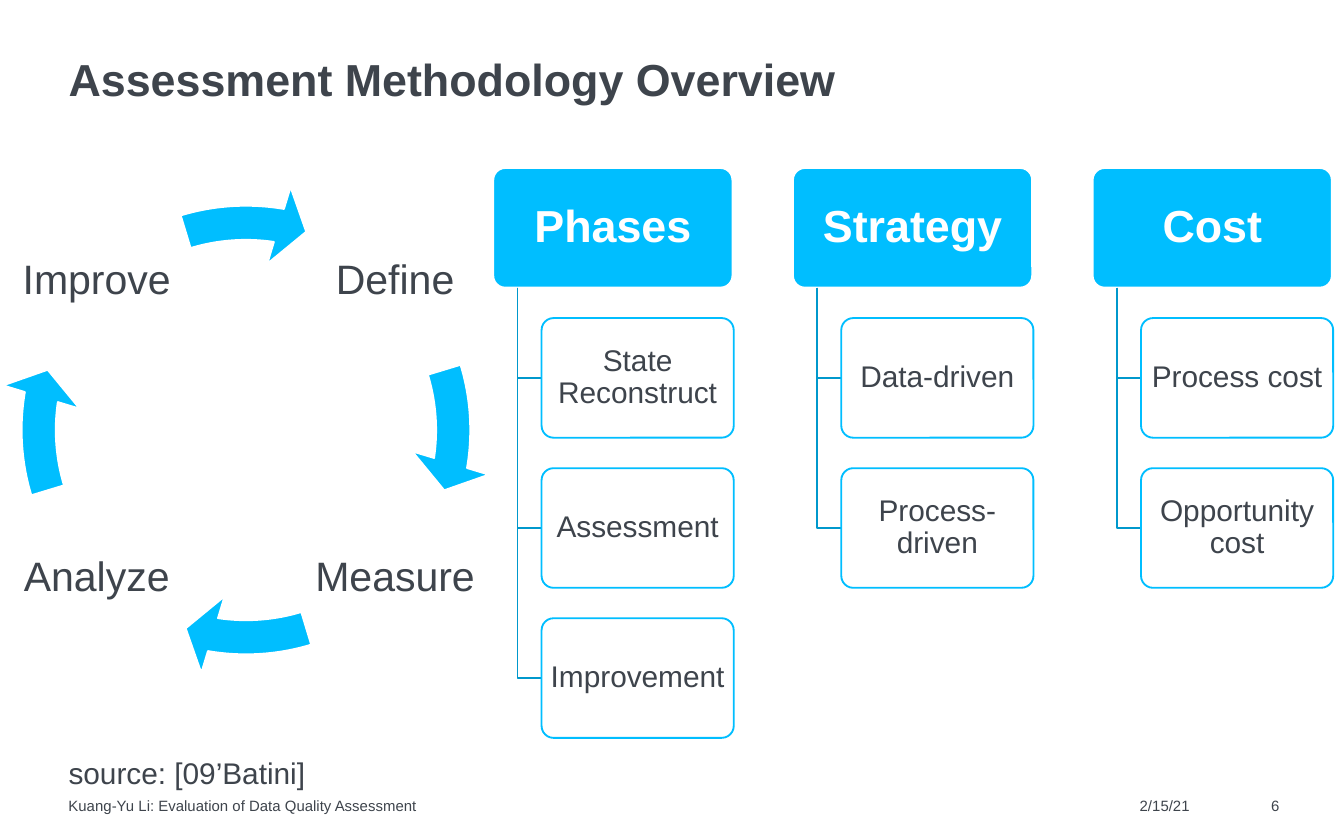
from dataclasses import dataclass
from typing import Optional

from pptx import Presentation, util as u
from pptx.dml.color import RGBColor
from pptx.enum import shapes, text

COLORS = {"ink": "3E444C", "accent": "00BEFF", "branch": "0098CC", "white": "FFFFFF"}
LEFT = 0.51                                # left margin of title and footer

# Hierarchy grid
GRID_X, GRID_Y = 3.67, 1.25
COL, ROW = 2.23, 3.35 / 3                  # pitch of columns and rows
HEAD_W, BOX_W, BOX_H = 1.78, 1.43, 0.89
TRUNK, INDENT = 0.18, 0.36                 # offsets from a column's left edge

# Cycle
CYCLE_X, CYCLE_Y, CYCLE_SIZE = -0.01, 1.36, 3.68
LABEL_X, LABEL_Y, LABEL_SIZE = (0.07, 2.29), (1.44, 3.65), 1.3
QUARTER, FULL = 54, 216                    # turns in adjustment units


@dataclass
class Style:
    size: float
    color: str = "ink"
    bold: bool = False
    align: Optional[text.PP_ALIGN] = None
    anchor: text.MSO_ANCHOR = text.MSO_ANCHOR.TOP
    spacing: Optional[float] = None
    inset_x: float = 0
    inset_y: float = 0
    wrap: bool = True


@dataclass
class Stage:
    name: str
    col: int
    row: int


@dataclass
class Branch:
    head: str
    items: list[str]


@dataclass
class Note:
    words: str
    x: float
    y: float
    w: float
    h: float
    style: Style


CENTERED = dict(align=text.PP_ALIGN.CENTER, anchor=text.MSO_ANCHOR.MIDDLE, spacing=0.9)
TITLE = Style(24, bold=True, align=text.PP_ALIGN.LEFT, spacing=0.9)
LABEL = Style(22, inset_x=0.03, inset_y=0.03, **CENTERED)
HEAD = Style(24, "white", True, inset_x=0.05, inset_y=0.03, **CENTERED)
ITEM = Style(16, inset_x=0.03, inset_y=0.02, **CENTERED)
SMALL = Style(8)

# Clockwise from the top right
STAGES = [Stage("Define", 1, 0), Stage("Measure", 1, 1),
          Stage("Analyze", 0, 1), Stage("Improve", 0, 0)]
BRANCHES = [
    Branch("Phases", ["State Reconstruct", "Assessment", "Improvement"]),
    Branch("Strategy", ["Data-driven", "Process-driven"]),
    Branch("Cost", ["Process cost", "Opportunity cost"]),
]
NOTES = [
    Note("2/15/21", 8.48, 5.93, 0.58, 0.14, SMALL),
    Note("Kuang-Yu Li: Evaluation of Data Quality Assessment", LEFT, 5.93, 6.63, 0.14, SMALL),
    Note("6", 9.28, 5.93, 0.24, 0.14, Style(8, align=text.PP_ALIGN.RIGHT)),
    Note("source: [09’Batini]", LEFT, 5.56, 1.85, 0.29, Style(16, spacing=1.2, wrap=False)),
]


def rgb(name: str) -> RGBColor:
    return RGBColor.from_string(COLORS[name])


def inches(*values: float) -> list[int]:
    return [u.Inches(v) for v in values]


def write(sp, words: str, style: Style) -> None:
    tf = sp.text_frame
    tf.text = words
    tf.auto_size = text.MSO_AUTO_SIZE.NONE
    tf.word_wrap = style.wrap
    tf.vertical_anchor = style.anchor
    tf.margin_left = tf.margin_right = u.Inches(style.inset_x)
    tf.margin_top = tf.margin_bottom = u.Inches(style.inset_y)
    p = tf.paragraphs[0]
    p.alignment = style.align
    p.line_spacing = style.spacing
    p.font.name, p.font.size, p.font.bold = "Arial", u.Pt(style.size), style.bold
    p.font.color.rgb = rgb(style.color)


def paint(sp, fill: Optional[str], line: str) -> None:
    sp.shadow.inherit = False
    if fill:
        sp.fill.solid()
        sp.fill.fore_color.rgb = rgb(fill)
    else:
        sp.fill.background()
    sp.line.color.rgb = rgb(line)
    sp.line.width = u.Pt(1)


def add_text(s, words: str, x: float, y: float, w: float, h: float, style: Style) -> None:
    write(s.shapes.add_textbox(*inches(x, y, w, h)), words, style)


def add_card(s, words: str, x: float, y: float, w: float, fill: str, line: str,
             style: Style) -> None:
    sp = s.shapes.add_shape(shapes.MSO_SHAPE.ROUNDED_RECTANGLE, *inches(x, y, w, BOX_H))
    sp.adjustments[0] = 0.1
    paint(sp, fill, line)
    write(sp, words, style)


def add_elbow(s, x: float, top: float, bottom: float, right: float) -> None:
    builder = s.shapes.build_freeform(*inches(x, top))
    builder.add_line_segments([inches(x, bottom), inches(right, bottom)], close=False)
    paint(builder.convert_to_shape(), None, "branch")


def add_stage(s, stage: Stage, turn: int) -> None:
    add_text(s, stage.name, LABEL_X[stage.col], LABEL_Y[stage.row],
             LABEL_SIZE, LABEL_SIZE, LABEL)
    sp = s.shapes.add_shape(shapes.MSO_SHAPE.CIRCULAR_ARROW,
                            *inches(CYCLE_X, CYCLE_Y, CYCLE_SIZE, CYCLE_SIZE))
    angle = turn * QUARTER
    values = (0.069, 4.654, 5.492 + angle, (205.854 + angle) % FULL, 0.081)
    for i, value in enumerate(values):
        sp.adjustments[i] = value
    paint(sp, "accent", "white")


def add_branch(s, branch: Branch, col: int) -> None:
    x = GRID_X + col * COL
    add_card(s, branch.head, x, GRID_Y, HEAD_W, "accent", "white", HEAD)
    for row, item in enumerate(branch.items, 1):
        y = GRID_Y + row * ROW
        add_elbow(s, x + TRUNK, GRID_Y + BOX_H, y + BOX_H / 2, x + INDENT)
        add_card(s, item, x + INDENT, y, BOX_W, "white", "accent", ITEM)


def main() -> None:
    prs = Presentation()
    prs.slide_width, prs.slide_height = inches(10, 6.25)
    s = prs.slides.add_slide(prs.slide_layouts[5])

    # Title
    title = s.shapes.title
    title.left, title.top, title.width, title.height = inches(LEFT, 0.43, 9.02, 0.63)
    write(title, "Assessment Methodology Overview", TITLE)

    # Improvement cycle
    for turn, stage in enumerate(STAGES):
        add_stage(s, stage, turn)

    # Hierarchy of methodology aspects
    for col, branch in enumerate(BRANCHES):
        add_branch(s, branch, col)

    # Footer and source
    for note in NOTES:
        add_text(s, note.words, note.x, note.y, note.w, note.h, note.style)

    prs.save("out.pptx")


if __name__ == "__main__":
    main()
